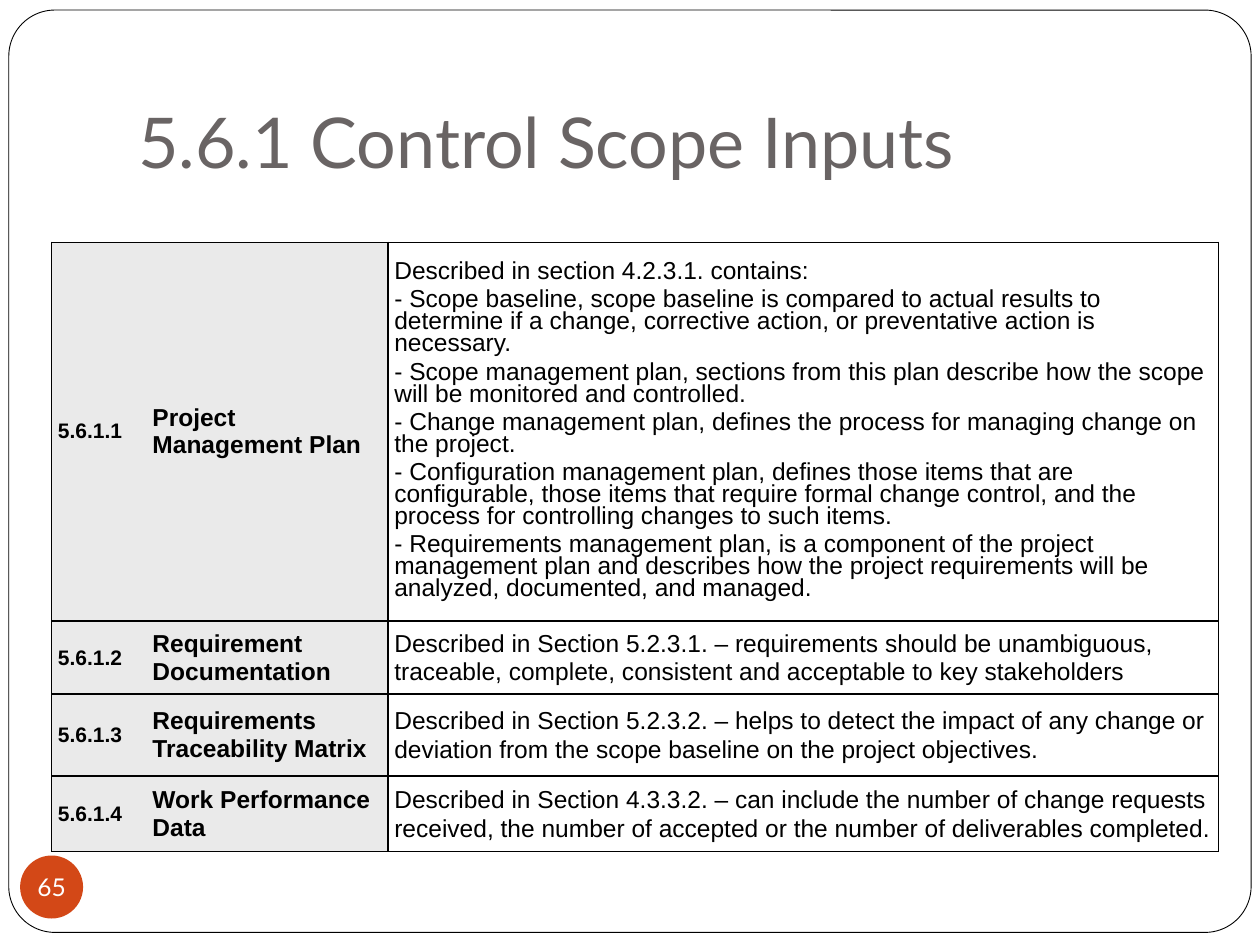
from lxml import etree
from pptx import Presentation
from pptx.dml.color import RGBColor
from pptx.enum.shapes import MSO_SHAPE as Shape
from pptx.enum.text import MSO_ANCHOR as Anchor, PP_ALIGN as Align
from pptx.oxml.ns import qn
from pptx.util import Inches, Pt

BLACK, WHITE, GRAY = "000000", "FFFFFF", "EAEAEA"


def color(code):
    return RGBColor.from_string(code)


class Deck:
    sans, body = "Lato", "Arial"

    def __init__(self, wide, high):
        self.prs = Presentation()
        self.prs.slide_width, self.prs.slide_height = Inches(wide), Inches(high)
        self.slide = self.prs.slides.add_slide(self.prs.slide_layouts[6])

    def shape(self, kind, box, fill, line=None):
        item = self.slide.shapes.add_shape(kind, *map(Inches, box))
        item.shadow.inherit = False
        item.fill.solid()
        item.fill.fore_color.rgb = color(fill)
        if line:
            item.line.color.rgb = color(line)
            item.line.width = Pt(0.5)
        else:
            item.line.fill.background()
        return item

    def frame(self, frame, insets, anchor, wrap=True):
        frame.word_wrap = wrap
        frame.vertical_anchor = anchor
        (frame.margin_left, frame.margin_top,
         frame.margin_right, frame.margin_bottom) = map(Inches, insets)

    def run(self, para, text, size, font, ink, bold=False):
        run = para.add_run()
        run.text = text
        run.font.size, run.font.name, run.font.bold = Pt(size), font, bold
        run.font.color.rgb = color(ink)

    def title(self, text, box):
        frame = self.slide.shapes.add_textbox(*map(Inches, box)).text_frame
        self.frame(frame, (0.1, 0.05, 0.1, 0.1), Anchor.BOTTOM)
        self.run(frame.paragraphs[0], text, 40, self.sans, "696464")

    def badge(self, text, box):
        frame = self.shape(Shape.OVAL, box, "D34817").text_frame
        self.frame(frame, (0, 0, 0, 0), Anchor.MIDDLE, wrap=False)
        frame.paragraphs[0].alignment = Align.CENTER
        self.run(frame.paragraphs[0], text, 14, self.sans, WHITE)

    def edge(self, cell, side, width):
        line = etree.SubElement(cell._tc.get_or_add_tcPr(), qn("a:ln" + side))
        if not width:
            etree.SubElement(line, qn("a:noFill"))
            return
        line.set("w", str(Pt(width)))
        fill = etree.SubElement(line, qn("a:solidFill"))
        etree.SubElement(fill, qn("a:srgbClr")).set("val", BLACK)

    def cell(self, cell, lines, size, bold, fill, edges, space):
        cell.vertical_anchor = Anchor.MIDDLE
        cell.margin_left = cell.margin_top = cell.margin_bottom = Inches(0.05)
        cell.margin_right = Inches(0.04)
        for side, width in zip("LRTB", edges):
            self.edge(cell, side, width)
        if fill:
            cell.fill.solid()
            cell.fill.fore_color.rgb = color(fill)
        else:
            cell.fill.background()
        for i, text in enumerate(lines):
            para = cell.text_frame.add_paragraph() if i else cell.text_frame.paragraphs[0]
            para.line_spacing = space
            if i:
                para.space_before = Pt(3.5)
            self.run(para, text, size, self.body, BLACK, bold)

    def table(self, rows, spot, wides, highs):
        size = (sum(wides), sum(highs))
        table = self.slide.shapes.add_table(
            len(rows), len(wides), *map(Inches, spot + size)).table
        table.first_row = table.horz_banding = False
        for col, wide in zip(table.columns, wides):
            col.width = Inches(wide)
        for r, (code, name, notes, space) in enumerate(rows):
            table.rows[r].height = Inches(highs[r])
            top = 1 if r else 0.5
            # Text, size, bold, fill, left and right edge, line spacing
            parts = (([code], 12, True, GRAY, 0.5, 0, 1.0),
                     ([name], 14, True, GRAY, 0, 1, 1.0),
                     (notes, 14, False, None, 1, 0.5, space))
            for c, (text, pts, bold, fill, left, right, gap) in enumerate(parts):
                self.cell(table.cell(r, c), text, pts, bold, fill,
                          (left, right, top, 1), gap)


ROWS = [
    ("5.6.1.1", "Project Management Plan", [
        "Described in section 4.2.3.1. contains:",
        "- Scope baseline, scope baseline is compared to actual results to determine "
        "if a change, corrective action, or preventative action is necessary.",
        "- Scope management plan, sections from this plan describe how the scope "
        "will be monitored and controlled.",
        "- Change management plan, defines the process for managing change on the project.",
        "- Configuration management plan, defines those items that are configurable, "
        "those items that require formal change control, and the process for "
        "controlling changes to such items.",
        "- Requirements management plan, is a component of the project management plan "
        "and describes how the project requirements will be analyzed, documented, "
        "and managed."], 0.8),
    ("5.6.1.2", "Requirement Documentation", [
        "Described in Section 5.2.3.1. – requirements should be unambiguous, "
        "traceable, complete, consistent and acceptable to key stakeholders"], 1.0),
    ("5.6.1.3", "Requirements Traceability Matrix", [
        "Described in Section 5.2.3.2. – helps to detect the impact of any change or "
        "deviation from the scope baseline on the project objectives."], 1.05),
    ("5.6.1.4", "Work Performance Data", [
        "Described in Section 4.3.3.2. – can include the number of change requests "
        "received, the number of accepted or the number of deliverables completed."], 1.05),
]


def main():
    deck = Deck(10, 7.5)
    # Rounded page border
    page = deck.shape(Shape.ROUNDED_RECTANGLE, (0.07, 0.08, 9.86, 7.32), WHITE, BLACK)
    page.adjustments[0] = 0.05
    # Title and page number
    deck.title("5.6.1 Control Scope Inputs", (1, 0.3, 8.5, 1.25))
    deck.badge("65", (0.16, 6.79, 0.5, 0.5))
    # Table of inputs
    deck.table(ROWS, (0.41, 1.92), (0.75, 1.92, 6.59), (3.01, 0.58, 0.65, 0.6))
    deck.prs.save("out.pptx")


if __name__ == "__main__":
    main()
